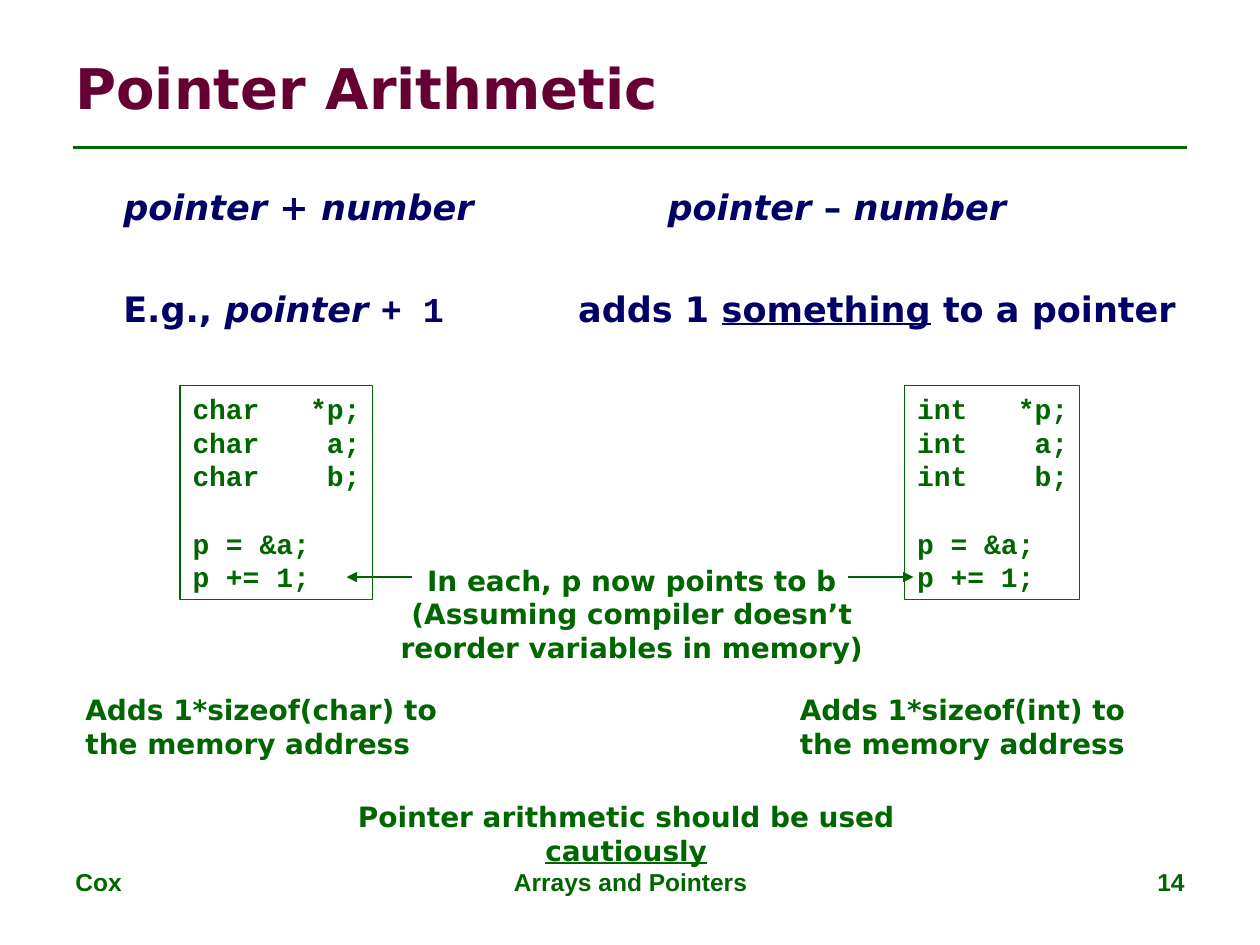
import pptx
import pptx.dml.color
import pptx.enum.shapes
import pptx.enum.text
import pptx.oxml
import pptx.oxml.ns
import pptx.util
from pptx.util import Inches

COLORS = {"green": "006600", "maroon": "660033", "navy": "000066"}
ALIGN = pptx.enum.text.PP_ALIGN
ANCHOR = pptx.enum.text.MSO_ANCHOR
CODE_FONT = "Courier New"
CODE_SIZE = 16
LINE_PITCH = 19.2


def color(name):
    return pptx.dml.color.RGBColor.from_string(COLORS[name])


def add_run(paragraph, text, *, size=16, font="DejaVu Sans", fill="green",
            italic=False, underline=False):
    run = paragraph.add_run()
    run.text = text
    run.font.size = pptx.util.Pt(size)
    run.font.name = font
    run.font.bold = True
    run.font.italic = italic
    run.font.underline = underline
    run.font.color.rgb = color(fill)


def add_tab(paragraph, stop):
    """Set a left tab stop, given in inches from the left margin."""
    paragraph._p.get_or_add_pPr().append(pptx.oxml.parse_xml(
        '<a:tabLst %s><a:tab pos="%d" algn="l"/></a:tabLst>'
        % (pptx.oxml.ns.nsdecls("a"), Inches(stop))))


class SlideBuilder:
    def __init__(self, slide):
        self.slide = slide

    def text(self, box, paragraphs, *, align=ALIGN.LEFT, anchor=ANCHOR.TOP,
             pitch=None, **style):
        """Add a text box; each paragraph is a list of (text, style) runs."""
        shape = self.slide.shapes.add_textbox(*map(Inches, box))
        frame = shape.text_frame
        frame.word_wrap = True
        frame.vertical_anchor = anchor
        for index, runs in enumerate(paragraphs):
            paragraph = frame.paragraphs[0] if index == 0 else frame.add_paragraph()
            paragraph.alignment = align
            if pitch:
                paragraph.line_spacing = pptx.util.Pt(pitch)
            for text, changes in runs:
                add_run(paragraph, text, **{**style, **changes})
        return shape

    def note(self, box, *paragraphs, align=ALIGN.LEFT):
        self.text(box, paragraphs, align=align, pitch=LINE_PITCH)

    def code(self, box, type_name):
        """Add a framed listing with the variable names in a column."""
        lines = [f"{type_name}\t*p;", f"{type_name}\ta;", f"{type_name}\tb;",
                 "p = &a;", "p += 1;"]
        shape = self.text(box, [[(line, {})] for line in lines],
                          pitch=LINE_PITCH, size=CODE_SIZE, font=CODE_FONT)
        shape.text_frame.margin_right = 0
        shape.line.color.rgb = color("green")
        shape.line.width = pptx.util.Pt(0.75)
        character = 0.6 * CODE_SIZE / 72
        paragraphs = shape.text_frame.paragraphs
        for index, paragraph in enumerate(paragraphs[:3]):
            column = len(type_name) + (3 if index == 0 else 4)
            add_tab(paragraph, column * character)
        paragraphs[3].space_before = pptx.util.Pt(LINE_PITCH)

    def line(self, start, end, *, width, arrow=False):
        connector = self.slide.shapes.add_connector(
            pptx.enum.shapes.MSO_CONNECTOR.STRAIGHT,
            *map(Inches, (*start, *end)))
        connector.line.color.rgb = color("green")
        connector.line.width = pptx.util.Pt(width)
        if arrow:
            connector.line._get_or_add_ln().append(pptx.oxml.parse_xml(
                '<a:tailEnd %s type="triangle"/>' % pptx.oxml.ns.nsdecls("a")))
        connector._element.spPr.append(pptx.oxml.parse_xml(
            "<a:effectLst %s/>" % pptx.oxml.ns.nsdecls("a")))


def main():
    presentation = pptx.Presentation()
    presentation.slide_width = Inches(10)
    presentation.slide_height = Inches(7.5)
    builder = SlideBuilder(
        presentation.slides.add_slide(presentation.slide_layouts[6]))
    italic = {"italic": True}
    underline = {"underline": True}

    # Title and rule
    builder.line((0.58, 1.17), (9.42, 1.17), width=1.5)
    builder.text((0.5, 0.3, 9, 0.78), [[("Pointer Arithmetic", {})]],
                 anchor=ANCHOR.MIDDLE, size=32, fill="maroon")

    # Footer
    for left, width, text, align in (
            (0.5, 2.33, "Cox", ALIGN.LEFT),
            (3.42, 3.17, "Arrays and Pointers", ALIGN.CENTER),
            (7.17, 2.33, "14", ALIGN.RIGHT)):
        builder.text((left, 6.83, width, 0.52), [[(text, {})]],
                     align=align, size=14, font="Arial")

    # Expressions, each in two columns
    body = builder.text((0.88, 1.42, 8.62, 1.71), [
        [("pointer", italic), (" + ", {}), ("number\tpointer", italic),
         (" – ", {}), ("number", italic)],
        [("E.g., ", {}), ("pointer ", italic), ("+ 1\t", {"font": CODE_FONT}),
         ("adds 1 ", {}), ("something", underline), (" to a pointer", {})],
    ], size=20, fill="navy")
    for paragraph, gap, stop in zip(body.text_frame.paragraphs,
                                    (4.5, 34.5), (4.32, 3.61)):
        paragraph.space_before = pptx.util.Pt(gap)
        add_tab(paragraph, stop)

    # Code listings
    builder.code((1.43, 3.06, 1.53, 1.7), "char")
    builder.code((7.18, 3.06, 1.39, 1.7), "int")

    # Shared remark with arrows to both listings
    builder.note((2.95, 4.42, 4.13, 0.9),
                 [("In each, p now points to b", {})],
                 [("(Assuming compiler doesn’t reorder variables in memory)", {})],
                 align=ALIGN.CENTER)
    for start, end in ((3.27, 2.75), (6.73, 7.25)):
        builder.line((start, 4.58), (end, 4.58), width=1.25, arrow=True)

    # Explanations and warning
    for left, width, type_name in ((0.58, 3.16, "char"), (6.25, 3.06, "int")):
        builder.note((left, 5.45, width, 0.64),
                     [(f"Adds 1*sizeof({type_name}) to the memory address", {})])
    builder.note((2.39, 6.3, 5.16, 0.37),
                 [("Pointer arithmetic should be used ", {}),
                  ("cautiously", underline)], align=ALIGN.CENTER)

    presentation.save("out.pptx")


if __name__ == "__main__":
    main()
